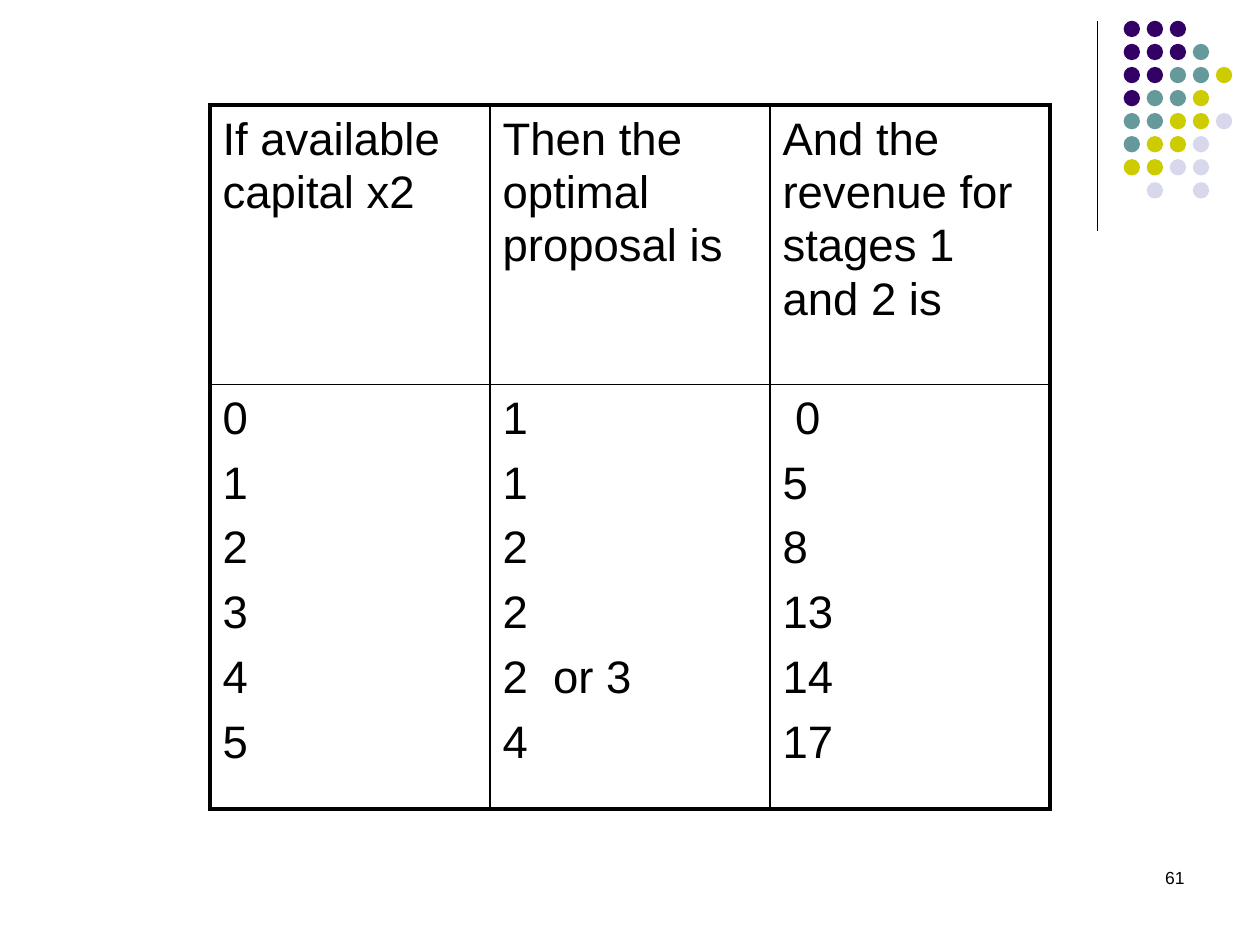
import pptx
import pptx.dml.color
import pptx.enum.shapes
import pptx.enum.text
import pptx.oxml
import pptx.oxml.ns
import pptx.util

WIDTH, HEIGHT = pptx.util.Inches(10), pptx.util.Inches(7.5)
BLACK = "000000"
DOT_COLOURS = {"P": "330066", "T": "669999", "Y": "CCCC00", "L": "D8D8EC"}
DOT_ROWS = ["PPP", "PPPT", "PPTTY", "PTTY", "TTYYL", "TYYL", "YYLL", ".L.L"]
HEADINGS = [
    "If available capital x2",
    "Then the optimal proposal is",
    "And the revenue for stages 1 and 2 is",
]
RESULTS = [
    ["0", "1", "2", "3", "4", "5"],
    ["1", "1", "2", "2", "2  or 3", "4"],
    [" 0", "5", "8", "13", "14", "17"],
]


def colour(code):
    return pptx.dml.color.RGBColor.from_string(code)


def box(left, top, width, height):
    """Turn shares of the slide into lengths."""
    return (round(left * WIDTH), round(top * HEIGHT),
            round(width * WIDTH), round(height * HEIGHT))


def apply_formats(target, formats):
    for name, value in formats.items():
        setattr(target, name, value)


def write(frame, lines, size, paragraph_formats, gap=0):
    apply_formats(frame, {
        "word_wrap": True,
        "margin_left": pptx.util.Inches(0.1),
        "margin_right": pptx.util.Inches(0.1),
        "margin_top": pptx.util.Inches(0.05),
        "margin_bottom": pptx.util.Inches(0.05),
    })
    for index, line in enumerate(lines):
        paragraph = frame.add_paragraph() if index else frame.paragraphs[0]
        apply_formats(paragraph, paragraph_formats)
        paragraph.space_before = pptx.util.Pt(gap if index else 0)
        run = paragraph.add_run()
        run.text = line
        apply_formats(run.font, {"name": "Arial", "size": pptx.util.Pt(size)})
        run.font.color.rgb = colour(BLACK)


def add_corner(slide, area):
    """Vertical rule with a staggered grid of dots to its right."""
    left, top, width, height = area

    # Rule
    rule = slide.shapes.add_connector(
        pptx.enum.shapes.MSO_CONNECTOR.STRAIGHT, left, top, left, top + height)
    rule.line.width = pptx.util.Pt(0.75)
    rule.line.color.rgb = colour(BLACK)
    rule._element.spPr.append(pptx.oxml.parse_xml(
        f'<a:effectLst {pptx.oxml.ns.nsdecls("a")}/>'))

    # Dots, five columns against the right edge
    diameter = pptx.util.Inches(0.13)
    pitch = pptx.util.Inches(0.183)
    first = left + width - 4 * pitch - diameter
    for row, marks in enumerate(DOT_ROWS):
        for column, mark in enumerate(marks):
            if mark not in DOT_COLOURS:
                continue
            dot = slide.shapes.add_shape(
                pptx.enum.shapes.MSO_SHAPE.OVAL,
                first + column * pitch, top + row * pitch, diameter, diameter)
            dot.shadow.inherit = False
            dot.fill.solid()
            dot.fill.fore_color.rgb = colour(DOT_COLOURS[mark])
            dot.line.fill.background()


def set_borders(cell, widths):
    properties = cell._tc.get_or_add_tcPr()
    for index, (side, points) in enumerate(widths.items()):
        properties.insert(index, pptx.oxml.parse_xml(
            f'<a:ln{side} {pptx.oxml.ns.nsdecls("a")} w="{pptx.util.Pt(points)}">'
            f'<a:solidFill><a:srgbClr val="{BLACK}"/></a:solidFill></a:ln{side}>'))


def add_proposal_table(slide, area):
    contents = [[[heading] for heading in HEADINGS], RESULTS]
    rows, columns = len(contents), len(HEADINGS)
    table = slide.shapes.add_table(rows, columns, *area).table
    apply_formats(table, {"first_row": False, "horz_banding": False})

    heading_height = round(area[3] * 0.397)
    table.rows[0].height = heading_height
    table.rows[1].height = area[3] - heading_height

    outer, inner = 2.25, 1
    for r, row in enumerate(contents):
        for c, lines in enumerate(row):
            cell = table.cell(r, c)
            cell.fill.background()
            set_borders(cell, {
                "L": outer if c == 0 else inner,
                "R": outer if c == columns - 1 else inner,
                "T": outer if r == 0 else inner,
                "B": outer if r == rows - 1 else inner,
            })
            write(cell.text_frame, lines, 26, {"line_spacing": 1.05}, gap=6.5)


def add_page_number(slide, area):
    number = slide.shapes.add_textbox(*area)
    write(number.text_frame, ["61"], 10,
          {"alignment": pptx.enum.text.PP_ALIGN.RIGHT})


def main():
    deck = pptx.Presentation()
    apply_formats(deck, {"slide_width": WIDTH, "slide_height": HEIGHT})
    slide = deck.slides.add_slide(deck.slide_layouts[6])
    add_corner(slide, box(0.871, 0.022, 0.107, 0.222))
    add_page_number(slide, box(0.717, 0.911, 0.233, 0.065))
    add_proposal_table(slide, box(1 / 6, 1 / 9, 2 / 3, 0.745))
    deck.save("out.pptx")


if __name__ == "__main__":
    main()
